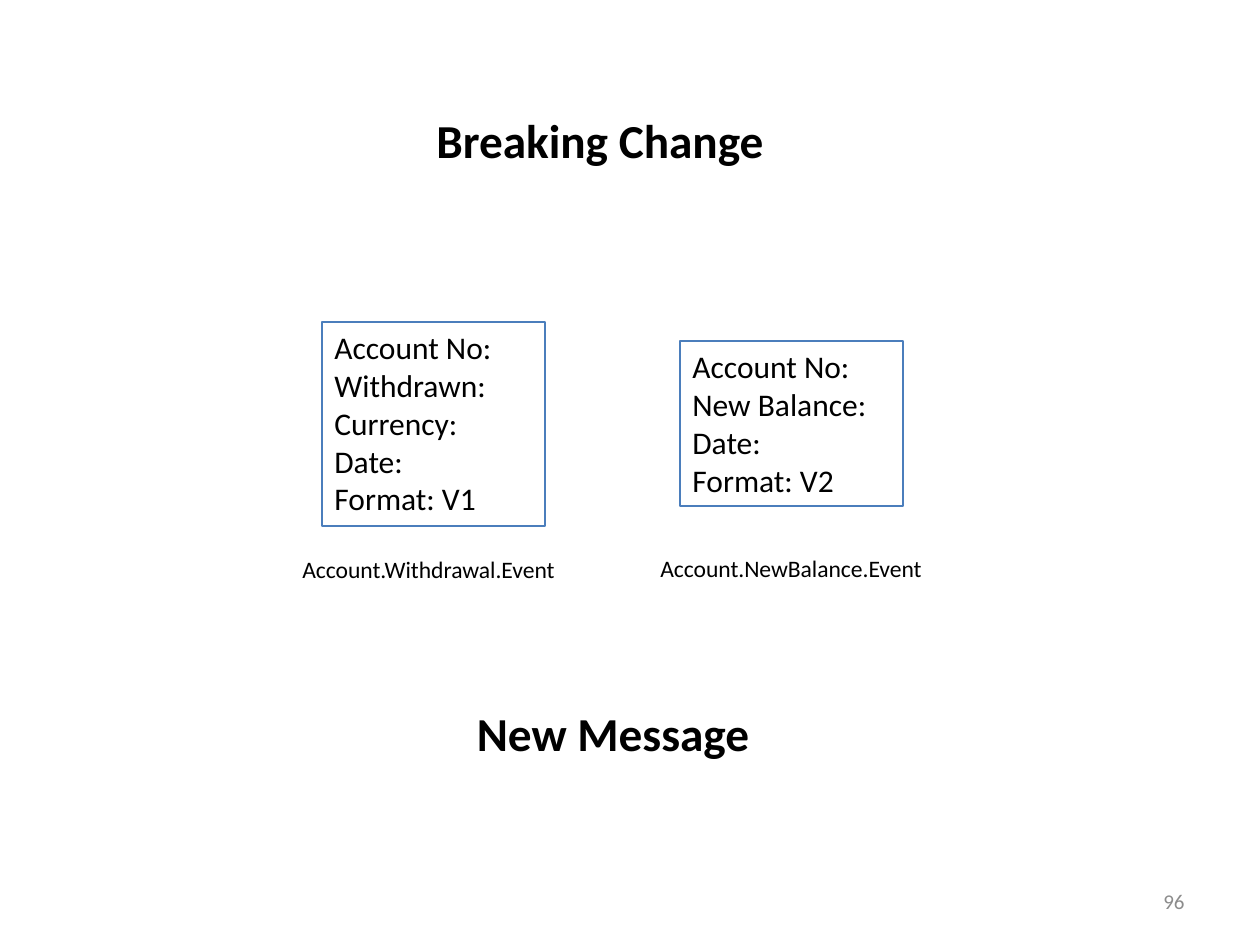
import pptx
import pptx.util
import pptx.dml.color
import pptx.enum.shapes
import pptx.enum.text

EMU_PER_PX = 914400 / 126
ALIGN = pptx.enum.text.PP_ALIGN
ANCHOR = pptx.enum.text.MSO_ANCHOR

EVENTS = [
    # left, top, height, fields, label top, label
    (322, 322, 204, ["Account No:", "Withdrawn:", "Currency:", "Date:", "Format: V1"],
     549, "Account.Withdrawal.Event"),
    (680, 341, 165, ["Account No:", "New Balance:", "Date:", "Format: V2"],
     548, "Account.NewBalance.Event"),
]
LABEL_OFFSET = -32


def px(*lengths):
    return [pptx.util.Emu(round(length * EMU_PER_PX)) for length in lengths]


def color(value):
    return pptx.dml.color.RGBColor.from_string(value)


def write(shape, text, size, align=ALIGN.LEFT, anchor=ANCHOR.TOP, bold=False, ink="000000"):
    frame = shape.text_frame
    frame.text = text
    frame.word_wrap = True
    frame.auto_size = pptx.enum.text.MSO_AUTO_SIZE.NONE
    frame.vertical_anchor = anchor
    for paragraph in frame.paragraphs:
        paragraph.alignment = align
        for run in paragraph.runs:
            run.font.name = "Calibri"
            run.font.size = pptx.util.Pt(size)
            run.font.bold = bold
            run.font.color.rgb = color(ink)


def add_title(slide, text, box):
    title = slide.shapes.title
    title.left, title.top, title.width, title.height = px(*box)
    write(title, text, 27, ALIGN.CENTER, bold=True)


def add_text(slide, text, box, size, **style):
    write(slide.shapes.add_textbox(*px(*box)), text, size, **style)


def add_message(slide, fields, box):
    shape = slide.shapes.add_shape(pptx.enum.shapes.MSO_SHAPE.RECTANGLE, *px(*box))
    shape.shadow.inherit = False
    shape.fill.background()
    shape.line.color.rgb = color("4B7EBC")
    shape.line.width = pptx.util.Pt(0.75)
    write(shape, "\n".join(fields), 18)


def main():
    presentation = pptx.Presentation()
    presentation.slide_width, presentation.slide_height = px(1260, 945)
    slide = presentation.slides.add_slide(presentation.slide_layouts.get_by_name("Title Only"))

    add_title(slide, "Breaking Change", (365, 105, 470, 71))
    for left, top, height, fields, label_top, label in EVENTS:
        add_message(slide, fields, (left, top, 223, height))
        add_text(slide, label, (left + LABEL_OFFSET, label_top, 289, 41), 13.5)
    add_text(slide, "New Message", (378, 698, 470, 71), 27, align=ALIGN.CENTER, bold=True)
    add_text(slide, "96", (903, 876, 294, 50), 12,
             align=ALIGN.RIGHT, anchor=ANCHOR.MIDDLE, ink="8C8C8C")

    presentation.save("out.pptx")


if __name__ == "__main__":
    main()
